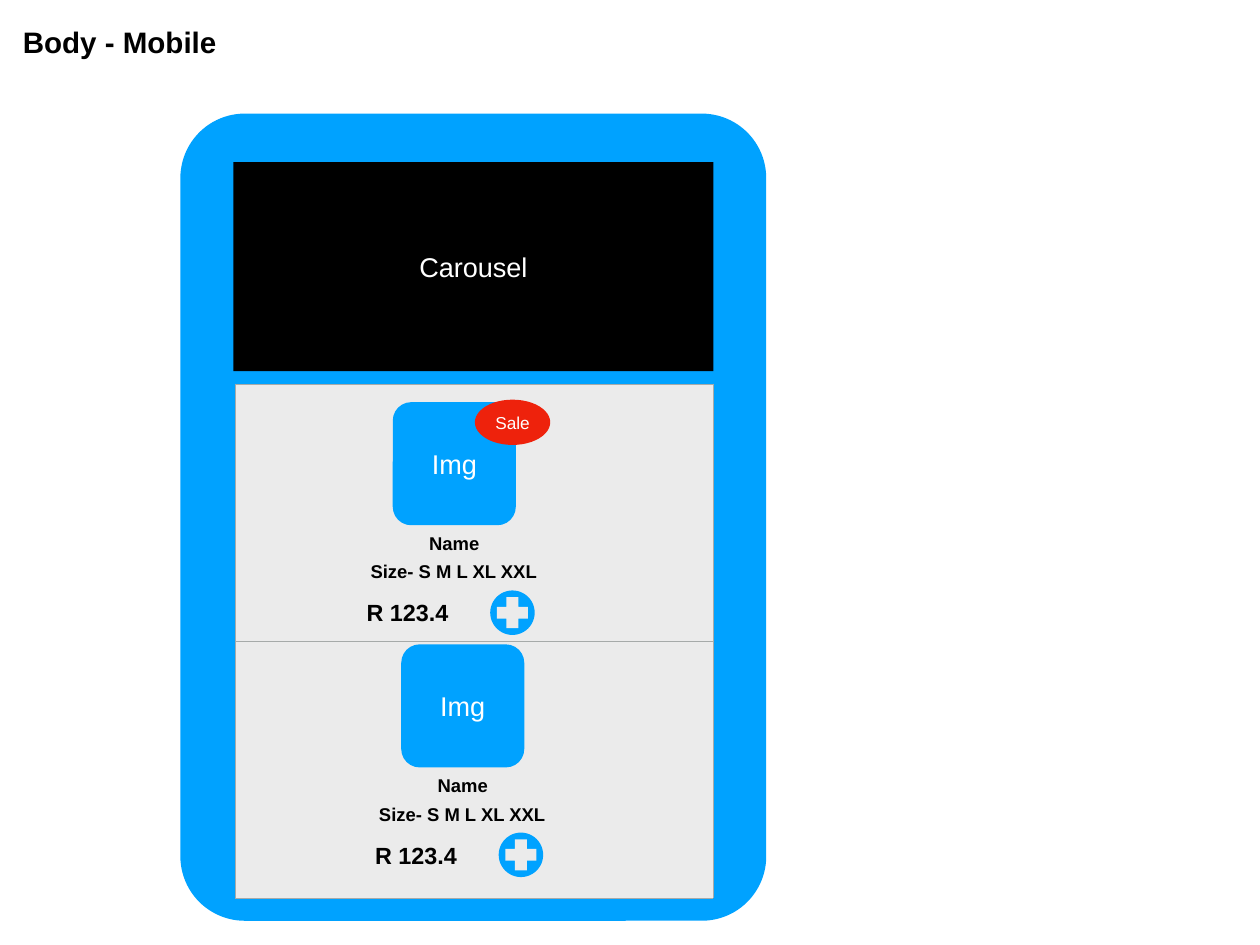
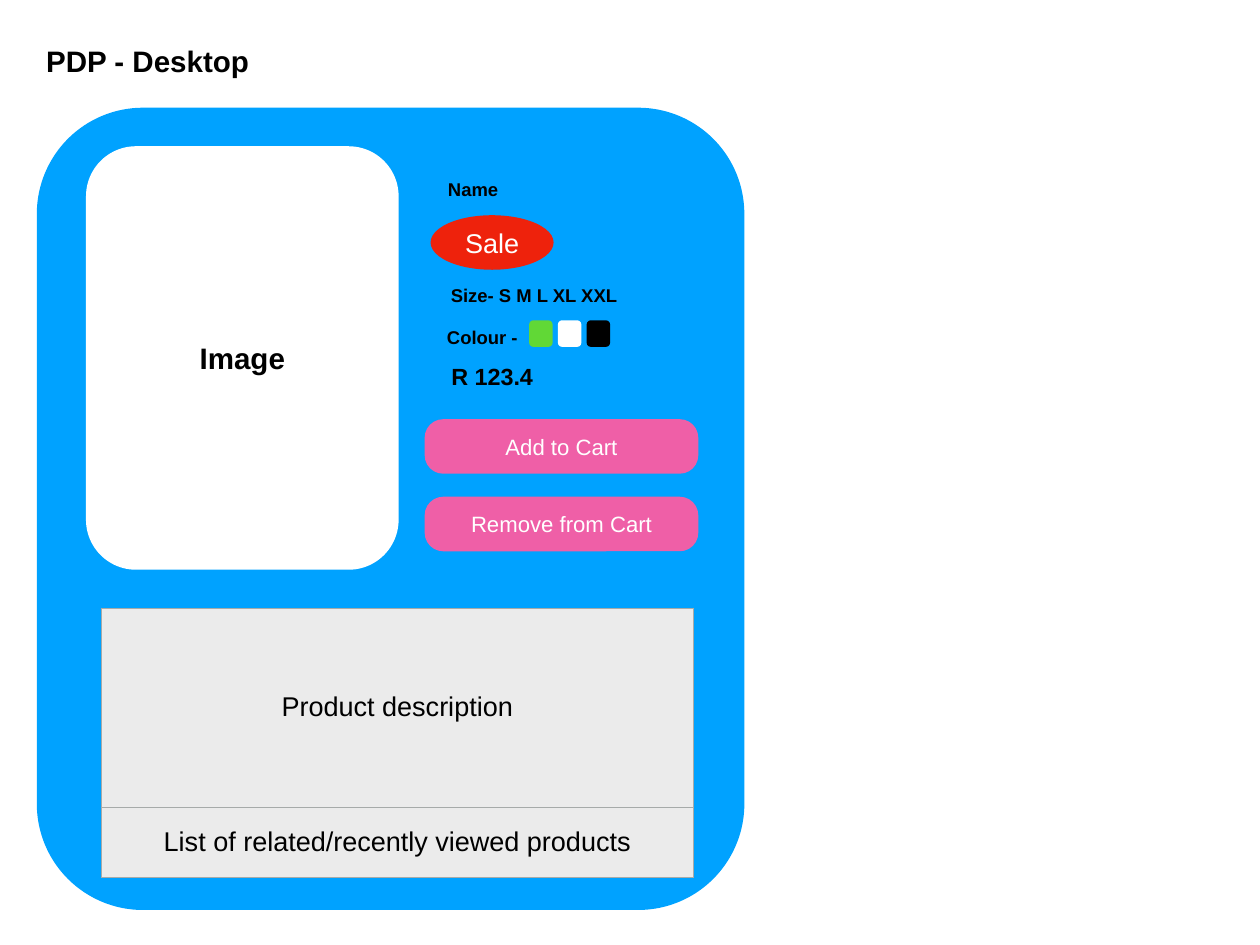
from dataclasses import dataclass
from typing import Any

import lxml.etree
import pptx
import pptx.dml.color
import pptx.enum.shapes
import pptx.enum.text
import pptx.oxml.ns
import pptx.slide
import pptx.util

SLIDE_WIDTH = pptx.util.Inches(14.22)
SLIDE_HEIGHT = pptx.util.Inches(10.66)
COLUMNS, ROWS = 64, 48

BLUE, RED, PINK, GREEN = "00A2FF", "EE220C", "EF5FA7", "61D836"
BLACK, WHITE, PALE, RULE = "000000", "FFFFFF", "EBEBEB", "A6AAA9"
FONT = "Arial"

KINDS = pptx.enum.shapes.MSO_SHAPE
INSET = pptx.util.Inches(0.06)
FRAME: dict[str, Any] = {
    "margin_left": INSET, "margin_right": INSET,
    "margin_top": INSET, "margin_bottom": INSET,
    "vertical_anchor": pptx.enum.text.MSO_ANCHOR.MIDDLE,
}
GROWING: dict[str, Any] = {
    **FRAME, "auto_size": pptx.enum.text.MSO_AUTO_SIZE.SHAPE_TO_FIT_TEXT,
}


@dataclass(frozen=True)
class Style:
    size: int
    color: str = BLACK
    bold: bool = False


TITLE = Style(24, bold=True)
DETAIL = Style(15, bold=True)
PRICE = Style(19, bold=True)
BODY = Style(22)
ON_COLOR = Style(22, WHITE)
ON_BADGE = Style(14, WHITE)
ON_BUTTON = Style(18, WHITE)


@dataclass(frozen=True)
class Area:
    column: float
    row: float
    columns: float
    rows: float


@dataclass(frozen=True)
class Label:
    text: str
    area: Area
    style: Style
    wrap: bool = False


@dataclass(frozen=True)
class Block:
    area: Area
    fill: str
    kind: Any = KINDS.RECTANGLE
    corner: float | None = None
    text: str = ""
    style: Style = ON_COLOR


@dataclass(frozen=True)
class Panel:
    column: float
    row: float
    columns: float
    row_heights: tuple[float, ...]
    texts: tuple[str, ...]


def across(columns: float) -> int:
    return round(SLIDE_WIDTH * columns / COLUMNS)


def down(rows: float) -> int:
    return round(SLIDE_HEIGHT * rows / ROWS)


def place(area: Area) -> tuple[int, int, int, int]:
    return across(area.column), down(area.row), across(area.columns), down(area.rows)


def rgb(color: str) -> pptx.dml.color.RGBColor:
    return pptx.dml.color.RGBColor.from_string(color)


def apply(target: Any, values: dict[str, Any]) -> None:
    for attribute, value in values.items():
        setattr(target, attribute, value)


def paint(target: Any, color: str) -> None:
    target.fill.solid()
    target.fill.fore_color.rgb = rgb(color)


def write(frame: Any, text: str, style: Style) -> None:
    paragraph = frame.paragraphs[0]
    paragraph.alignment = pptx.enum.text.PP_ALIGN.CENTER
    run = paragraph.add_run()
    run.text = text
    apply(run.font, {
        "name": FONT, "size": pptx.util.Pt(style.size), "bold": style.bold,
    })
    run.font.color.rgb = rgb(style.color)


def draw_label(slide: pptx.slide.Slide, label: Label) -> None:
    frame = slide.shapes.add_textbox(*place(label.area)).text_frame
    apply(frame, {**GROWING, "word_wrap": label.wrap})
    write(frame, label.text, label.style)


def draw_block(slide: pptx.slide.Slide, block: Block) -> None:
    shape = slide.shapes.add_shape(block.kind, *place(block.area))
    shape.shadow.inherit = False
    shape.line.fill.background()
    paint(shape, block.fill)
    if block.corner is not None:
        shape.adjustments[0] = block.corner
    if block.text:
        apply(shape.text_frame, {**FRAME, "word_wrap": True})
        write(shape.text_frame, block.text, block.style)


def rule_cell(cell: Any) -> None:
    properties = cell._tc.get_or_add_tcPr()
    qn = pptx.oxml.ns.qn
    for side in ("a:lnL", "a:lnR", "a:lnT", "a:lnB"):
        line = lxml.etree.SubElement(
            properties, qn(side), w=str(pptx.util.Pt(0.45)))
        solid = lxml.etree.SubElement(line, qn("a:solidFill"))
        lxml.etree.SubElement(solid, qn("a:srgbClr"), val=RULE)


def draw_panel(slide: pptx.slide.Slide, panel: Panel) -> None:
    area = Area(panel.column, panel.row, panel.columns, sum(panel.row_heights))
    table = slide.shapes.add_table(len(panel.texts), 1, *place(area)).table
    apply(table, {"first_row": False, "horz_banding": False})
    for index, (height, text) in enumerate(zip(panel.row_heights, panel.texts)):
        table.rows[index].height = down(height)
        cell = table.cell(index, 0)
        apply(cell, FRAME)
        rule_cell(cell)
        paint(cell, PALE)
        if text:
            write(cell.text_frame, text, BODY)


def rounded(area: Area, fill: str, corner: float, text: str = "",
            style: Style = ON_COLOR) -> Block:
    return Block(area, fill, KINDS.ROUNDED_RECTANGLE, corner, text, style)


def sale_badge(area: Area, style: Style) -> Block:
    return Block(area, RED, KINDS.OVAL, text="Sale", style=style)


def name_label(column: float, row: float, columns: float) -> Label:
    return Label("Name", Area(column, row, columns, 1.62), DETAIL, wrap=True)


def size_label(column: float, row: float) -> Label:
    return Label("Size- S M L XL XXL", Area(column, row, 9, 1.62), DETAIL)


def price_label(column: float, row: float) -> Label:
    return Label("R 123.4", Area(column, row, 5, 1.94), PRICE)


def draw_add_button(slide: pptx.slide.Slide, column: float, row: float) -> None:
    disc, plus = 2.26, 1.58
    gap = (disc - plus) / 2
    draw_block(slide, Block(Area(column, row, disc, disc), BLUE, KINDS.OVAL))
    draw_block(slide, Block(Area(column + gap, row + gap, plus, plus),
                            PALE, KINDS.CROSS, 0.31))


def draw_product(slide: pptx.slide.Slide, column: float, row: float) -> None:
    side = 6.25
    draw_block(slide, rounded(Area(column, row, side, side), BLUE, 0.15, "Img"))
    draw_label(slide, name_label(column, row + 6.35, side))
    draw_label(slide, size_label(column - 1.4, row + 7.79))
    draw_label(slide, price_label(column - 1.75, row + 9.72))
    draw_add_button(slide, column + 4.95, row + 9.56)


def draw_mobile_body(slide: pptx.slide.Slide) -> None:
    draw_label(slide, Label("Body - Mobile", Area(0.65, 0.99, 10.85, 2.3), TITLE))
    draw_block(slide, rounded(Area(9.16, 5.77, 29.76, 41), BLUE, 0.11))
    draw_block(slide, Block(Area(11.85, 8.23, 24.39, 10.62), BLACK, text="Carousel"))
    draw_panel(slide, Panel(11.95, 19.5, 24.26, (13.06, 13.06), ("", "")))
    for column, row in ((19.95, 20.43), (20.38, 32.73)):
        draw_product(slide, column, row)
    draw_block(slide, sale_badge(Area(24.12, 20.3, 3.83, 2.3), ON_BADGE))


def draw_desktop_product(slide: pptx.slide.Slide) -> None:
    draw_label(slide, Label("PDP - Desktop", Area(1.87, 1.94, 11.25, 2.3), TITLE))
    draw_block(slide, rounded(Area(1.87, 5.47, 35.94, 40.75), BLUE, 0.15))
    draw_block(slide, rounded(Area(4.37, 7.43, 15.88, 21.51), WHITE, 0.16,
                              "Image", TITLE))
    draw_label(slide, name_label(20.79, 8.82, 6.48))
    draw_block(slide, sale_badge(Area(21.87, 10.93, 6.25, 2.77), ON_COLOR))
    draw_label(slide, size_label(22.63, 14.18))
    draw_label(slide, Label("Colour -", Area(22.25, 16.29, 4.5, 1.62), DETAIL))
    for index, swatch in enumerate((GREEN, WHITE, BLACK)):
        draw_block(slide, rounded(Area(26.88 + index * 1.46, 16.27, 1.19, 1.35),
                                  swatch, 0.18))
    draw_label(slide, price_label(22.5, 18.13))
    for index, action in enumerate(("Add to Cart", "Remove from Cart")):
        draw_block(slide, rounded(Area(21.57, 21.29 + index * 3.94, 13.9, 2.77),
                                  PINK, 0.34, action, ON_BUTTON))
    draw_panel(slide, Panel(
        5.13, 30.87, 30.1, (10.13, 3.55),
        ("Product description", "List of related/recently viewed products")))


def main() -> None:
    deck = pptx.Presentation()
    apply(deck, {"slide_width": SLIDE_WIDTH, "slide_height": SLIDE_HEIGHT})
    blank = deck.slide_layouts[6]
    for draw in (draw_mobile_body, draw_desktop_product):
        draw(deck.slides.add_slide(blank))
    deck.save("out.pptx")


if __name__ == "__main__":
    main()
